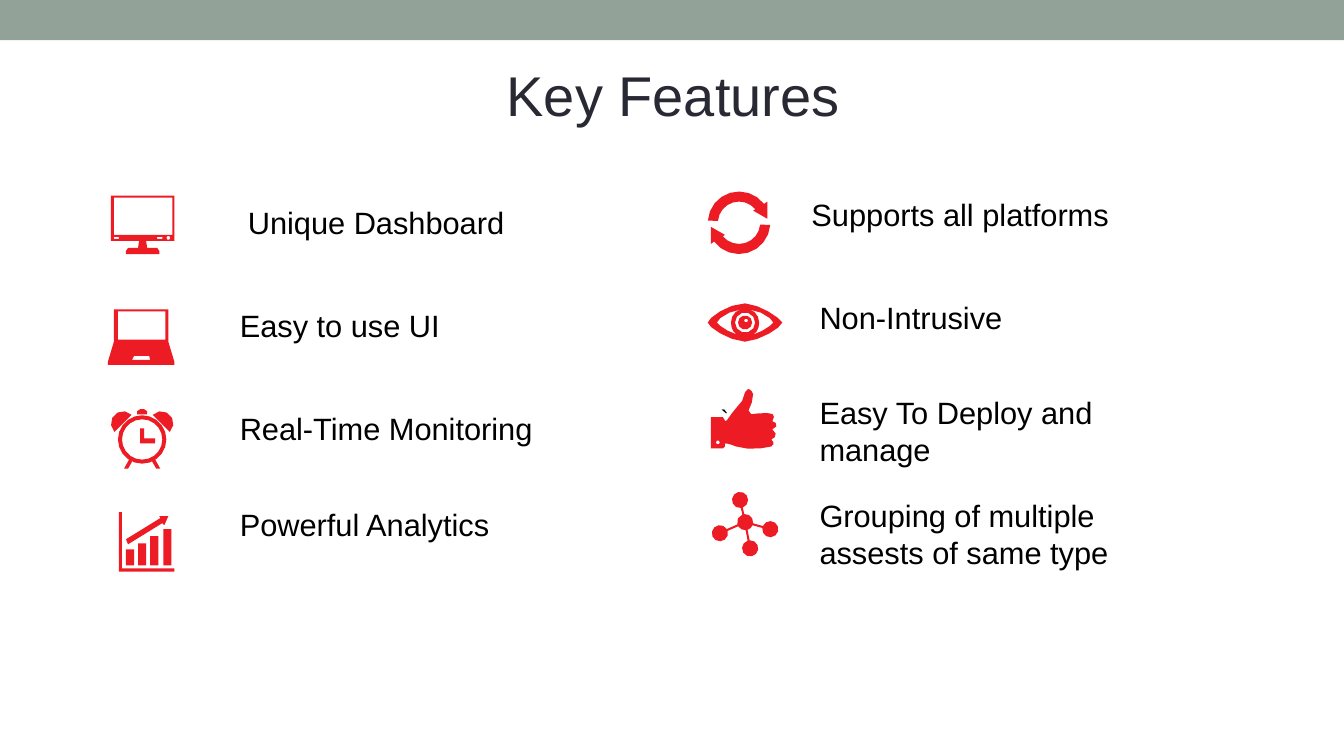
from math import asin, atan2, cos, degrees, radians, sin

from pptx import Presentation
from pptx.dml.color import RGBColor
from pptx.enum.shapes import MSO_SHAPE
from pptx.enum.text import MSO_ANCHOR, PP_ALIGN
from pptx.util import Inches, Pt

RECT, MIDDLE, TOP = MSO_SHAPE.RECTANGLE, MSO_ANCHOR.MIDDLE, MSO_ANCHOR.TOP
LEFT, CENTER = PP_ALIGN.LEFT, PP_ALIGN.CENTER

# Content: label, left, top, width, height
TITLE = "Key Features"
FEATURES = [
    ("Unique Dashboard", 2.36, 1.97, 2.99, 0.78),
    ("Easy to use UI", 2.28, 2.99, 2.99, 0.78),
    ("Real-Time Monitoring", 2.28, 4.02, 3.23, 0.78),
    ("Powerful Analytics", 2.28, 4.97, 2.99, 0.78),
    ("Supports all platforms", 7.95, 1.89, 3.78, 0.78),
    ("Non-Intrusive", 8.03, 2.91, 2.99, 0.78),
    ("Easy To Deploy and manage", 8.03, 3.86, 2.99, 0.78),
    ("Grouping of multiple assests of same type", 8.03, 4.88, 3.7, 1.12),
]
THUMB_MARK = "`"


class Theme:
    font = "Arial"
    bar = RGBColor(0x93, 0xA2, 0x99)
    title = RGBColor(0x29, 0x29, 0x34)
    text = RGBColor(0, 0, 0)
    icon = RGBColor(0xED, 0x1C, 0x24)
    title_size, label_size, mark_size = Pt(40), Pt(22), Pt(18)


# Outline helpers: each returns a list of points in inches
def box(left, top, right, bottom):
    return [(left, top), (right, top), (right, bottom), (left, bottom)]


def arc(cx, cy, r, start=0, end=360):
    full = 6 if r < 0.05 else 10 if r < 0.15 else 20
    steps = max(2, round(full * abs(end - start) / 360))
    angles = [radians(start + (end - start) * i / steps) for i in range(steps + 1)]
    return [(cx + r * cos(a), cy + r * sin(a)) for a in angles]


def curve(*pts, steps=3):
    """Chain of cubic curves: a start, then two handles and an end for each."""
    out = [pts[0]]
    for i in range(0, len(pts) - 1, 3):
        a, b, c, d = pts[i:i + 4]
        for n in range(1, steps + 1):
            t = n / steps
            u = 1 - t
            out.append(tuple(u**3 * a[k] + 3 * u * u * t * b[k] + 3 * u * t * t * c[k]
                             + t**3 * d[k] for k in (0, 1)))
    return out


def mirror(pts, axis):
    return [(2 * axis - x, y) for x, y in pts]


# Icons: each returns its outlines; an inner outline cuts a hole
def monitor():
    body = [(1.1, 1.94), (1.73, 1.94), (1.73, 2.39), (1.45, 2.39), (1.46, 2.46),
            (1.56, 2.46), (1.58, 2.49), (1.58, 2.52), (1.25, 2.52), (1.25, 2.49),
            (1.27, 2.46), (1.37, 2.46), (1.38, 2.39), (1.1, 2.39)]
    buttons = [box(x, 2.35, x + 0.05, 2.37) for x in (1.13, 1.56)]
    return [body, box(1.13, 1.96, 1.71, 2.33), *buttons, arc(1.67, 2.36, 0.02)]


def laptop():
    body = [(1.13, 3.07), (1.67, 3.07), (1.67, 3.39), (1.73, 3.59), (1.73, 3.62),
            (1.07, 3.62), (1.07, 3.59), (1.13, 3.39)]
    touchpad = [(1.33, 3.53), (1.31, 3.57), (1.49, 3.57), (1.48, 3.53)]
    return [body, box(1.17, 3.09, 1.64, 3.37), touchpad]


def alarm_clock():
    cx, cy = 1.41, 4.36
    hands = [(1.39, 4.25), (1.43, 4.25), (1.43, 4.35), (1.54, 4.35), (1.54, 4.4), (1.39, 4.4)]
    button = [(1.36, 4.11), (1.36, 4.08), (1.39, 4.06), (1.43, 4.06), (1.46, 4.08), (1.46, 4.11)]
    bell = arc(1.22, 4.2, 0.12, 135, 315)
    leg = [(1.28, 4.56), (1.31, 4.58), (1.27, 4.65), (1.23, 4.65)]
    return [arc(cx, cy, 0.24), arc(cx, cy, 0.2), hands, button,
            bell, mirror(bell, cx), leg, mirror(leg, cx)]


def growth_chart():
    axes = [(1.18, 5.08), (1.21, 5.08), (1.21, 5.64), (1.73, 5.64), (1.73, 5.67), (1.18, 5.67)]
    arrow = [(1.58, 5.12), (1.67, 5.12), (1.63, 5.21), (1.61, 5.19),
             (1.27, 5.4), (1.25, 5.35), (1.59, 5.14)]
    bars = [box(x, y, x + 0.08, 5.61)
            for x, y in ((1.25, 5.45), (1.37, 5.39), (1.49, 5.32), (1.62, 5.25))]
    return [axes, arrow, *bars]


def refresh():
    cx, cy = 7.33, 2.21
    head = [(7.61, 2.0), (7.61, 2.17), (7.47, 2.09), (7.5, 2.07)]
    upper = arc(cx, cy, 0.31, 184, 323) + head + arc(cx, cy, 0.21, 321, 185)
    return [upper, [(2 * cx - x, 2 * cy - y) for x, y in upper]]


def eye():
    cx, cy = 7.39, 3.2
    lids = curve((cx, 3.39), (7.22, 3.38), (7.02, 3.24), (7.02, cy),
                 (7.02, 3.16), (7.22, 3.01), (cx, 3.01),
                 (7.54, 3.02), (7.73, 3.15), (7.76, cy),
                 (7.75, 3.25), (7.54, 3.38), (cx, 3.39), steps=4)
    white = curve((7.35, 3.07), (7.23, 3.08), (7.11, 3.17), (7.11, cy),
                  (7.12, 3.22), (7.21, 3.29), (7.31, 3.32),
                  (7.27, 3.3), (7.25, 3.25), (7.25, cy),
                  (7.25, 3.14), (7.29, 3.08), (7.35, 3.07))
    return [lids, white, mirror(white, cx), arc(cx, cy, 0.1),
            arc(cx, cy, 0.07), arc(7.4, 3.18, 0.02)]


def thumb_up():
    hand = curve((7.42, 3.86), (7.44, 3.86), (7.46, 3.88), (7.47, 3.91),
                 (7.49, 3.99), (7.37, 4.1), (7.45, 4.11),
                 (7.52, 4.1), (7.55, 4.1), (7.62, 4.1),
                 (7.68, 4.1), (7.69, 4.13), (7.66, 4.18),
                 (7.7, 4.18), (7.73, 4.24), (7.66, 4.26),
                 (7.72, 4.3), (7.69, 4.35), (7.65, 4.36),
                 (7.68, 4.39), (7.68, 4.41), (7.65, 4.43),
                 (7.58, 4.45), (7.4, 4.47), (7.3, 4.43),
                 (7.25, 4.41), (7.22, 4.4), (7.19, 4.4))
    cuff = [(7.19, 4.43), (7.17, 4.45), (7.05, 4.45), (7.05, 4.14), (7.17, 4.14), (7.19, 4.17)]
    thumb = [(7.19, 4.18), (7.21, 4.17)] + curve(
        (7.26, 4.1), (7.3, 4.03), (7.38, 4.0), (7.39, 3.89))
    return [hand + cuff + thumb, arc(7.12, 4.39, 0.02)]


def network():
    cx, cy, r, half_link = 7.39, 5.18, 0.08, 0.01
    nodes = [(7.34, 4.96), (7.64, 5.25), (7.44, 5.44), (7.14, 5.29)]
    gap = degrees(asin(half_link / r))
    turns = [degrees(atan2(y - cy, x - cx)) % 360 for x, y in nodes]
    outline = []
    for i, ((x, y), turn) in enumerate(zip(nodes, turns)):
        sweep = (turns[(i + 1) % len(nodes)] - turn) % 360
        outline += arc(x, y, r, turn - 180 + gap, turn + 180 - gap)
        outline += arc(cx, cy, r, turn + gap, turn + sweep - gap)
    return [outline]


def write(shape, text, size, color, align=LEFT, anchor=TOP, inset=(0.1, 0.05)):
    tf = shape.text_frame
    tf.word_wrap = True
    tf.vertical_anchor = anchor
    tf.margin_left = tf.margin_right = Inches(inset[0])
    tf.margin_top = tf.margin_bottom = Inches(inset[1])
    p = tf.paragraphs[0]
    p.alignment = align
    r = p.add_run()
    r.text = text
    r.font.name, r.font.size, r.font.color.rgb = Theme.font, size, color


def paint(shape, color):
    shape.shadow.inherit = False
    shape.fill.solid()
    shape.fill.fore_color.rgb = color
    shape.line.fill.background()


def draw_icon(s, outlines):
    paths = [[(Inches(x), Inches(y)) for x, y in pts] for pts in outlines]
    builder = s.shapes.build_freeform(*paths[0][0])
    builder.add_line_segments(paths[0][1:], close=True)
    for pts in paths[1:]:
        builder.move_to(*pts[0])
        builder.add_line_segments(pts[1:], close=True)
    sp = builder.convert_to_shape()
    paint(sp, Theme.icon)
    return sp


def main():
    prs = Presentation()
    prs.slide_width, prs.slide_height = Inches(13.33), Inches(7.5)
    s = prs.slides.add_slide(prs.slide_layouts[5])

    # Top bar and title
    paint(s.shapes.add_shape(RECT, 0, 0, prs.slide_width, Inches(0.4)), Theme.bar)
    title = s.shapes.title
    title.left, title.top = Inches(0.33), Inches(0.39)
    title.width, title.height = Inches(12.69), Inches(1.08)
    write(title, TITLE, Theme.title_size, Theme.title, CENTER, MIDDLE, (0, 0))

    # Icons
    for icon in (monitor, laptop, alarm_clock, growth_chart, refresh, eye, thumb_up, network):
        sp = draw_icon(s, icon())
        if icon is thumb_up:
            write(sp, THUMB_MARK, Theme.mark_size, Theme.text, anchor=MIDDLE)

    # Feature labels
    for label, *place in FEATURES:
        sp = s.shapes.add_textbox(*map(Inches, place))
        write(sp, label, Theme.label_size, Theme.text)

    prs.save("out.pptx")


if __name__ == "__main__":
    main()
